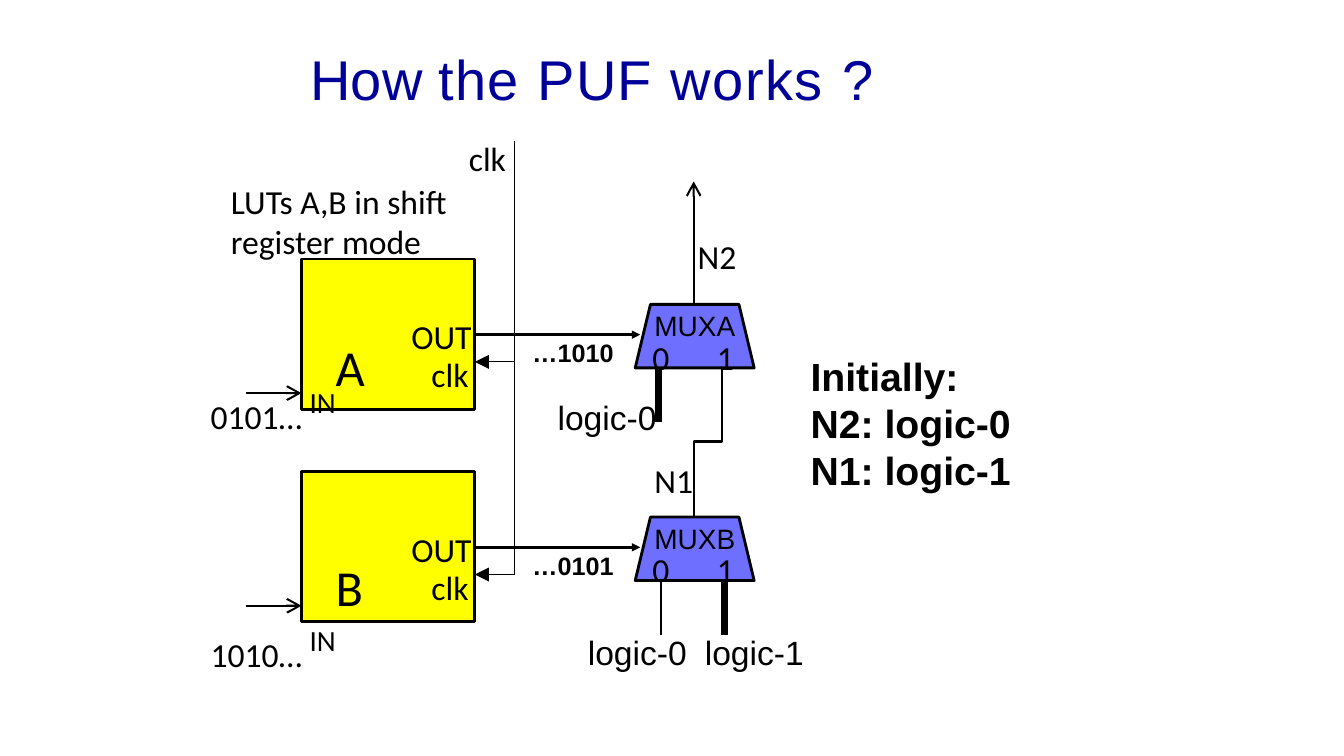
"""Builds the slide that explains how the PUF works."""
from dataclasses import dataclass

import lxml.etree
import pptx
import pptx.dml.color
import pptx.enum.shapes
import pptx.enum.text
import pptx.oxml.ns
import pptx.util

CELL = 0.1  # inches; the slide is 133.3 columns by 75 rows
COLUMNS, ROWS = 133.3, 75


@dataclass(frozen=True)
class Theme:
    """Colours, fonts, type sizes and line weights."""
    ink: str = "000000"
    title_ink: str = "000099"
    lut_fill: str = "FFFF00"
    mux_fill: str = "6F6FFF"
    label_font: str = "Calibri"
    text_font: str = "Arial"
    title: float = 40
    letter: float = 36
    note: float = 28
    label: float = 24
    mux: float = 20
    stream: float = 18
    hair: float = 0.75
    thin: float = 1.5
    outline: float = 2
    bold: float = 5


@dataclass(frozen=True)
class Box:
    """A region in grid columns and rows."""
    left: float
    top: float
    width: float
    height: float

    def point(self, x, y):
        """Give the grid point that lies x columns and y rows inside."""
        return self.left + x, self.top + y

    def inner(self, x, y, width, height):
        """Give another box placed relative to this one."""
        return Box(*self.point(x, y), width, height)


THEME = Theme()


def cells(count):
    """Turn grid cells into a slide length."""
    return pptx.util.Inches(count * CELL)


def colour(value):
    """Turn a hex value into a colour."""
    return pptx.dml.color.RGBColor.from_string(value)


def add_text(page, box, text, size=THEME.label, font=THEME.label_font,
             ink=THEME.ink, bold=False, leading=None, indents=()):
    """Place text: a string, or paragraphs made of (words, rPr attributes)."""
    paragraphs = [[(text, {})]] if isinstance(text, str) else text
    shape = page.shapes.add_textbox(*map(cells, (box.left, box.top, box.width, box.height)))
    frame = shape.text_frame
    frame.word_wrap = True
    frame.margin_left = frame.margin_right = frame.margin_top = frame.margin_bottom = 0
    for index, spans in enumerate(paragraphs):
        para = frame.paragraphs[0] if index == 0 else frame.add_paragraph()
        if leading:
            para.line_spacing = pptx.util.Pt(leading)
        if indents:
            para._p.get_or_add_pPr().set("marL", str(cells(indents[index])))
        for words, attributes in spans:
            span = para.add_run()
            span.text = words
            span.font.name, span.font.size = font, pptx.util.Pt(size)
            span.font.bold, span.font.color.rgb = bold, colour(ink)
            for name, value in attributes.items():
                span._r.get_or_add_rPr().set(name, str(value))


def add_line(page, start, end, weight, head=None, head_size="med"):
    """Draw a straight line, with an arrowhead at its end if one is named."""
    line = page.shapes.add_connector(
        pptx.enum.shapes.MSO_CONNECTOR.STRAIGHT, *map(cells, (*start, *end)))
    line.line.width = pptx.util.Pt(weight)
    line.line.color.rgb = colour(THEME.ink)
    properties = line._element.spPr
    if head:
        outline = properties.find(pptx.oxml.ns.qn("a:ln"))
        lxml.etree.SubElement(outline, pptx.oxml.ns.qn("a:tailEnd"),
                              type=head, w=head_size, len=head_size)
    lxml.etree.SubElement(properties, pptx.oxml.ns.qn("a:effectLst"))


def add_block(page, kind, box, fill):
    """Draw a filled block with a black outline."""
    block = page.shapes.add_shape(
        kind, *map(cells, (box.left, box.top, box.width, box.height)))
    block.shadow.inherit = False
    block.fill.solid()
    block.fill.fore_color.rgb = colour(fill)
    block.line.color.rgb = colour(THEME.ink)
    block.line.width = pptx.util.Pt(THEME.outline)
    return block


def add_lut(page, box, letter, bits, letter_top, bits_top):
    """Draw a shift register with its ports and its input arrow."""
    add_block(page, pptx.enum.shapes.MSO_SHAPE.RECTANGLE, box, THEME.lut_fill)
    add_text(page, box.inner(10.9, 5.9, 6.3, 7.4), [[("OUT", {})], [("clk", {})]],
             leading=27, indents=(0, 2))
    add_text(page, box.inner(3.4, letter_top, 3.2, 6.1), letter, size=THEME.letter)
    add_line(page, box.point(-5.5, 13.3), box.point(0, 13.3), THEME.thin, "arrow", "lg")
    port = {"sz": int(THEME.letter * 100), "baseline": 32000}
    add_text(page, box.inner(-9, bits_top, 13, 4.1), [[(bits + " ", {}), ("IN", port)]])


def add_mux(page, box, name):
    """Draw a multiplexer with its name and its two input numbers."""
    block = add_block(page, pptx.enum.shapes.MSO_SHAPE.TRAPEZOID, box, THEME.mux_fill)
    block.adjustments[0] = 0.24
    add_text(page, box.inner(1.9, 0.4, 8.5, 3.4), name, size=THEME.mux, font=THEME.text_font)
    for number, left in (("0", 1.7), ("1", 8.1)):
        add_text(page, box.inner(left, 3.2, 2, 4.1), number)


def add_stage(page, box, letter, bits, stream, letter_top, bits_top):
    """Draw a shift register that drives a multiplexer; return the latter's box."""
    lut, mux = box.inner(0, 0, 17.2, 14.9), box.inner(33.1, 4.5, 11.8, 6.3)
    add_lut(page, lut, letter, bits, letter_top, bits_top)
    add_mux(page, mux, "MUX" + letter)
    add_line(page, box.point(17.2, 7.5), box.point(33.6, 7.5), THEME.outline, "triangle")
    add_line(page, box.point(21.1, 10.2), box.point(17.2, 10.2), THEME.hair, "triangle", "lg")
    add_text(page, box.inner(22.9, 7.8, 9, 3), stream,
             size=THEME.stream, font=THEME.text_font, bold=True)
    return mux


def add_wiring(page, upper, lower):
    """Join the two multiplexers and name their nets and constant inputs."""
    add_line(page, upper.point(5.8, 0), upper.point(5.8, -12.2), THEME.thin, "arrow", "lg")
    add_text(page, upper.inner(6.2, -6.8, 4.5, 4.1), "N2")
    corners = [lower.point(5.8, 0), lower.point(5.8, -7.5),
               upper.point(8.6, 13.6), upper.point(8.6, 6.3)]
    start, *rest = [tuple(map(cells, corner)) for corner in corners]
    builder = page.shapes.build_freeform(*start)
    builder.add_line_segments(rest, close=False)
    wire = builder.convert_to_shape()
    wire.shadow.inherit = False
    wire.fill.background()
    wire.line.color.rgb = colour(THEME.ink)
    wire.line.width = pptx.util.Pt(THEME.thin)
    add_text(page, lower.inner(1.9, -5.7, 4.5, 4.1), "N1")
    for mux, x, weight, name, left, top in (
            (upper, 2.3, THEME.bold, "logic-0", -7.7, 9.2),
            (lower, 2.6, THEME.thin, "logic-0", -4.7, 11.4),
            (lower, 8.9, THEME.bold, "logic-1", 6.9, 11.4)):
        add_line(page, mux.point(x, 6.3), mux.point(x, 11.7), weight)
        add_text(page, mux.inner(left, top, 10.5, 4.1), name, font=THEME.text_font)


def add_circuit(page, box):
    """Draw both stages, the clock line that feeds them and the wiring."""
    pitch = 21.1
    upper, lower = [
        add_stage(page, box.inner(0, 11.7 + row * pitch, 45, 15), *stage)
        for row, stage in enumerate((
            ("A", "0101…", "…1010", 7.6, 11.9),
            ("B", "1010…", "…0101", 8.4, 14.4)))]
    add_line(page, box.point(21.1, 0), box.point(21.1, 21.9 + pitch), THEME.hair)
    add_text(page, box.inner(16.6, -0.3, 4.2, 4.1), "clk")
    add_text(page, box.inner(-7, 3.9, 22.4, 8.1), "LUTs A,B in shift register mode")
    add_wiring(page, upper, lower)


def add_puf_slide(deck):
    """Lay out the title, the circuit and the starting values."""
    page = deck.slides.add_slide(deck.slide_layouts[6])
    whole = Box(0, 0, COLUMNS, ROWS)
    add_text(page, whole.inner(30.8, 4.4, 74.5, 6.8),
             [[("How ", {}), ("the PUF works ", {"spc": 110}), ("?", {})]],
             size=THEME.title, font=THEME.text_font, ink=THEME.title_ink)
    add_circuit(page, whole.inner(29.9, 14, 45, 48))
    add_text(page, whole.inner(80.4, 34.9, 20.4, 14.2), "Initially: N2: logic-0 N1: logic-1",
             size=THEME.note, font=THEME.text_font, bold=True)


deck = pptx.Presentation()
deck.slide_width, deck.slide_height = cells(COLUMNS), cells(ROWS)
add_puf_slide(deck)
deck.save("out.pptx")
